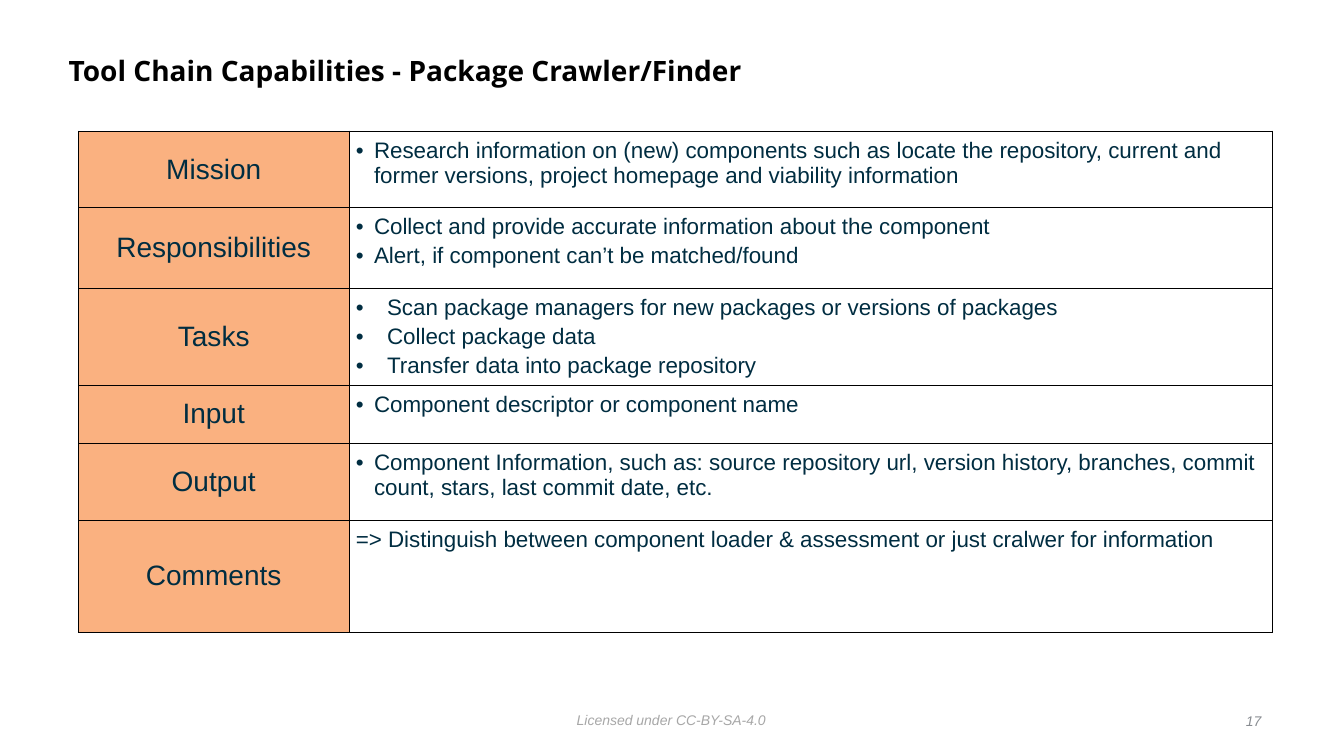
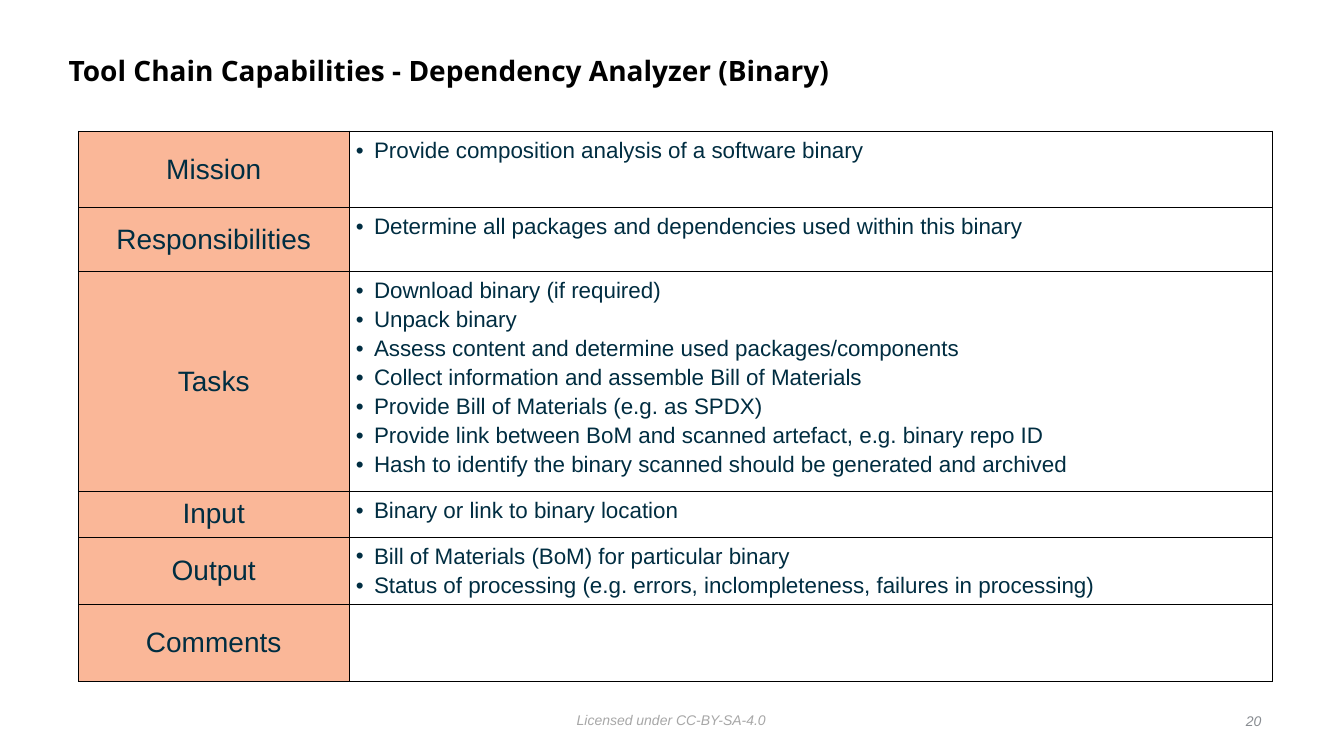
import pptx
import pptx.dml.color
import pptx.enum.text
import pptx.util
from lxml import etree
from pptx.oxml.ns import qn

Inches, Pt = pptx.util.Inches, pptx.util.Pt
ALIGN = pptx.enum.text.PP_ALIGN
ANCHOR = pptx.enum.text.MSO_ANCHOR

COLORS = {
    "title": "000000",
    "text": "002D41",
    "border": "000000",
    "cell": "FFFFFF",
    "orange": "F66503",
    "peach": "FAB798",
    "footer": "A7A7A7",
    "number": "888C91",
}
BODY_FONT, TITLE_FONT = "Arial", "Open Sans"
TITLE_BOX = (0.63, 0.39, 10.75, 0.65)
FOOTER_BOX = (5.67, 7.01, 1.99, 0.25)
NUMBER_BOX = (12.06, 7.03, 0.5, 0.25)
TABLE_AT = (0.78, 1.3)
COLUMNS = (2.68, 9.16)
LABELS = ("Mission", "Responsibilities", "Tasks", "Input", "Output", "Comments")
INDENT, WIDE_INDENT = 0.18, 0.31

# Each row: height, paragraphs, and any departure from the normal bullets.
SLIDES = [
    {
        "title": "Tool Chain Capabilities - Package Crawler/Finder",
        "number": 17,
        "label_fill": ("orange", 50),
        "rows": [
            (0.76, ["Research information on (new) components such as locate the "
                    "repository, current and former versions, project homepage "
                    "and viability information"], {}),
            (0.8, ["Collect and provide accurate information about the component",
                   "Alert, if component can’t be matched/found"], {}),
            (0.96, ["Scan package managers for new packages or versions of packages",
                    "Collect package data",
                    "Transfer data into package repository"],
             {"indent": WIDE_INDENT}),
            (0.58, ["Component descriptor or component name"], {}),
            (0.76, ["Component Information, such as: source repository url, version "
                    "history, branches, commit count, stars, last commit date, etc."], {}),
            (1.11, ["=> Distinguish between component loader & assessment or just "
                    "cralwer for information"],
             {"indent": 0.07, "bullet": False}),
        ],
    },
    {
        "title": "Tool Chain Capabilities - Dependency Analyzer (Binary)",
        "number": 20,
        "label_fill": ("peach", 100),
        "rows": [
            (0.76, ["Provide composition analysis of a software binary"], {}),
            (0.63, ["Determine all packages and dependencies used within this binary"], {}),
            (2.11, ["Download binary (if required)",
                    "Unpack binary",
                    "Assess content and determine used packages/components",
                    "Collect information and assemble Bill of Materials",
                    "Provide Bill of Materials (e.g. as SPDX)",
                    "Provide link between BoM and scanned artefact, e.g. binary repo ID",
                    "Hash to identify the binary scanned should be generated and archived"],
             {}),
            (0.45, ["Binary or link to binary location"], {}),
            (0.67, ["Bill of Materials (BoM) for particular binary",
                    "Status of processing (e.g. errors, inclompleteness, failures in "
                    "processing)"], {}),
            (0.76, [], {}),
        ],
    },
]


def rgb(name):
    return pptx.dml.color.RGBColor.from_string(COLORS[name])


def style(p, size, color, font=BODY_FONT, bold=False, italic=False):
    for r in p.runs:
        r.font.size = Pt(size)
        r.font.name = font
        r.font.color.rgb = rgb(color)
        r.font.bold = bold
        r.font.italic = italic
    end = etree.SubElement(p._p, qn("a:endParaRPr"), sz=str(size * 100))
    etree.SubElement(end, qn("a:latin"), typeface=font)


def add_text(slide, box, text, align=ALIGN.LEFT, anchor=ANCHOR.MIDDLE, wrap=False, **look):
    tf = slide.shapes.add_textbox(*map(Inches, box)).text_frame
    tf.margin_left = tf.margin_right = tf.margin_top = tf.margin_bottom = Inches(0.05)
    tf.word_wrap = wrap
    tf.vertical_anchor = anchor
    p = tf.paragraphs[0]
    p.text = text
    p.alignment = align
    style(p, **look)
    return p


def set_margins(cell, side, top, bottom):
    cell.margin_left = cell.margin_right = Inches(side)
    cell.margin_top, cell.margin_bottom = Inches(top), Inches(bottom)


def set_borders(cell):
    tcPr = cell._tc.get_or_add_tcPr()
    for side in ("lnL", "lnR", "lnT", "lnB"):
        ln = etree.SubElement(tcPr, qn("a:" + side), w=str(Pt(0.5)))
        fill = etree.SubElement(ln, qn("a:solidFill"))
        etree.SubElement(fill, qn("a:srgbClr"), val=COLORS["border"])


def set_fill(cell, color, opacity=100):
    cell.fill.solid()
    cell.fill.fore_color.rgb = rgb(color)
    if opacity < 100:
        clr = cell._tc.tcPr.find(qn("a:solidFill")).find(qn("a:srgbClr"))
        etree.SubElement(clr, qn("a:alpha"), val=str(opacity * 1000))


def set_hanging(p, indent, bullet):
    pPr = p._p.get_or_add_pPr()
    pPr.set("marL", str(Inches(indent)))
    pPr.set("indent", str(-Inches(indent)))
    if bullet:
        etree.SubElement(pPr, qn("a:buFont"), typeface=BODY_FONT)
        etree.SubElement(pPr, qn("a:buChar"), char="•")


def fill_label(cell, label, fill):
    set_margins(cell, 0, 0, 0)
    set_borders(cell)
    set_fill(cell, *fill)
    cell.vertical_anchor = ANCHOR.MIDDLE
    p = cell.text_frame.paragraphs[0]
    p.text = label
    p.alignment = ALIGN.CENTER
    style(p, 20, "text")


def fill_content(cell, lines, indent=INDENT, bullet=True):
    set_margins(cell, 0.07, 0.07, 0)
    set_borders(cell)
    set_fill(cell, "cell")
    tf = cell.text_frame
    for i, line in enumerate(lines):
        p = tf.add_paragraph() if i else tf.paragraphs[0]
        p.text = line
        set_hanging(p, indent, bullet)
        if i:
            p.space_before = Pt(3)
        style(p, 16, "text")


def add_capability_table(slide, at, rows, label_fill):
    size = (sum(COLUMNS), sum(height for height, _, _ in rows))
    table = slide.shapes.add_table(len(rows), len(COLUMNS), *map(Inches, at + size)).table
    table.first_row = table.horz_banding = False
    for column, width in zip(table.columns, COLUMNS):
        column.width = Inches(width)
    for i, (label, (height, lines, options)) in enumerate(zip(LABELS, rows)):
        table.rows[i].height = Inches(height)
        fill_label(table.cell(i, 0), label, label_fill)
        fill_content(table.cell(i, 1), lines, **options)


def add_capability_slide(prs, title, number, label_fill, rows):
    slide = prs.slides.add_slide(prs.slide_layouts[6])
    add_text(slide, FOOTER_BOX, "Licensed under CC-BY-SA-4.0", anchor=ANCHOR.TOP,
             size=10, color="footer", italic=True)
    p = add_text(slide, TITLE_BOX, title, wrap=True,
                 size=20, color="title", font=TITLE_FONT, bold=True)
    p.line_spacing = 0.9
    add_capability_table(slide, TABLE_AT, rows, label_fill)
    add_text(slide, NUMBER_BOX, str(number), align=ALIGN.RIGHT, wrap=True,
             size=10, color="number", italic=True)


def main():
    prs = pptx.Presentation()
    prs.slide_width, prs.slide_height = Inches(13.33), Inches(7.5)
    for content in SLIDES:
        add_capability_slide(prs, **content)
    prs.save("out.pptx")


if __name__ == "__main__":
    main()
